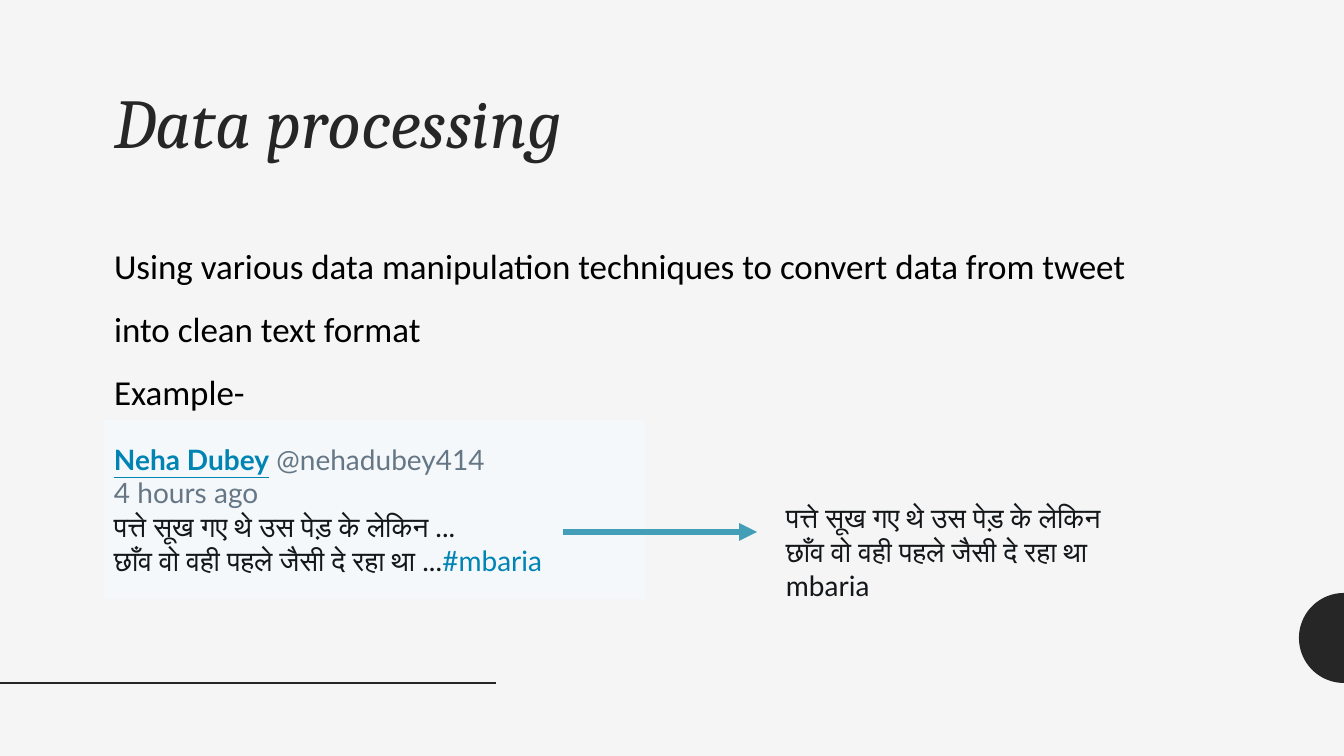
from math import cos, pi, sin

from lxml.etree import SubElement
from pptx import Presentation
from pptx.dml.color import RGBColor
from pptx.enum.shapes import MSO_CONNECTOR as CONN, MSO_SHAPE as SHAPE
from pptx.enum.text import MSO_ANCHOR as ANCHOR, PP_ALIGN as ALIGN
from pptx.oxml.ns import qn
from pptx.util import Emu, Pt

PX = 914400 / 100.8
DARK, INK, LINK, GREY = "262626", "14171A", "0084B4", "657786"


def px(n):
    return Emu(round(n * PX))


def rgb(color):
    return RGBColor.from_string(color)


class Deck:
    def __init__(self, w, h, bg):
        self.prs = Presentation()
        self.prs.slide_width, self.prs.slide_height = px(w), px(h)
        self.slide = self.prs.slides.add_slide(self.prs.slide_layouts[6])
        self.shapes = self.slide.shapes
        fill = self.slide.background.fill
        fill.solid()
        fill.fore_color.rgb = rgb(bg)

    def paint(self, sp, color):
        sp.shadow.inherit = False
        sp.fill.solid()
        sp.fill.fore_color.rgb = rgb(color)
        sp.line.fill.background()
        return sp

    def set_text(self, sp, paras, base, spacing=1.0, anchor=ANCHOR.TOP, right=10):
        """Each paragraph is a list of (text, format changes) runs."""
        tf = sp.text_frame
        frame = dict(word_wrap=True, vertical_anchor=anchor,
                     margin_left=px(10), margin_right=px(right),
                     margin_top=px(5), margin_bottom=px(5))
        for name, value in frame.items():
            setattr(tf, name, value)
        for i, runs in enumerate(paras):
            p = tf.add_paragraph() if i else tf.paragraphs[0]
            p.alignment, p.line_spacing = ALIGN.LEFT, spacing
            for text, changes in runs:
                for j, line in enumerate(text.split("\n")):
                    if j:
                        p.add_line_break()
                    r = p.add_run()
                    r.text = line
                    fmt = {**base, **changes}
                    r.font.color.rgb = rgb(fmt.pop("color"))
                    for name, value in fmt.items():
                        setattr(r.font, name, value)

    def text(self, box, paras, base, **layout):
        self.set_text(self.shapes.add_textbox(*map(px, box)), paras, base, **layout)

    def card(self, box, color, paras, base, **layout):
        sp = self.shapes.add_shape(SHAPE.RECTANGLE, *map(px, box))
        self.set_text(self.paint(sp, color), paras, base, **layout)

    def line(self, x1, x2, y, color, width, arrow=False):
        sp = self.shapes.add_connector(CONN.STRAIGHT, px(x1), px(y), px(x2), px(y))
        sp.line.color.rgb, sp.line.width = rgb(color), Pt(width)
        props = sp.element.spPr
        if arrow:
            SubElement(props.find(qn("a:ln")), qn("a:tailEnd"), type="triangle")
        SubElement(props, qn("a:effectLst"))

    def half_disc(self, cx, cy, radius, color, steps=48):
        angles = [pi / 2 + pi * i / steps for i in range(steps + 1)]
        pts = [(px(cx + radius * cos(a)), px(cy + radius * sin(a))) for a in angles]
        fb = self.shapes.build_freeform(*pts[0], scale=1.0)
        fb.add_line_segments(pts[1:], close=True)
        self.paint(fb.convert_to_shape(), color)


deck = Deck(1344, 756, "F5F5F5")
body = dict(name="Calibri", size=Pt(25), color="000000")
title = dict(name="Cambria", size=Pt(50), color=DARK, italic=True)
tweet = dict(name="Lato", size=Pt(20), color=INK)

# Edge decoration
deck.half_disc(1344, 638, 45, DARK)
deck.line(0, 496, 683, DARK, 2)

# Title and explanation
deck.text((104, 219, 1074, 195), [
    [("Using various data manipulation techniques to convert data "
      "from tweet into clean text format", {})],
    [("Example-", {})],
], body, spacing=1.5)
deck.text((104, 83, 1136, 74), [[("Data processing", {})]], title, spacing=0.9)

# Raw tweet
deck.card((104, 420, 541, 179), "F5F8FA", [
    [("Neha Dubey", dict(color=LINK, bold=True, underline=True)),
     ("\u00a0", {}),
     ("@nehadubey414\n4 hours ago", dict(color=GREY))],
    [("पत्ते सूख गए थे उस पेड़ के लेकिन ...\nछाँव वो वही पहले जैसी दे रहा था ...", {}),
     ("#mbaria", dict(color=LINK))],
], tweet, anchor=ANCHOR.MIDDLE, right=5)

# Cleaned text
deck.text((776, 496, 464, 112), [
    [("पत्ते सूख गए थे उस पेड़ के लेकिन\nछाँव वो वही पहले जैसी दे रहा था", {})],
    [("mbaria", {})],
], tweet)
deck.line(563, 757, 532, "439EB7", 4.25, arrow=True)

deck.prs.save("out.pptx")
